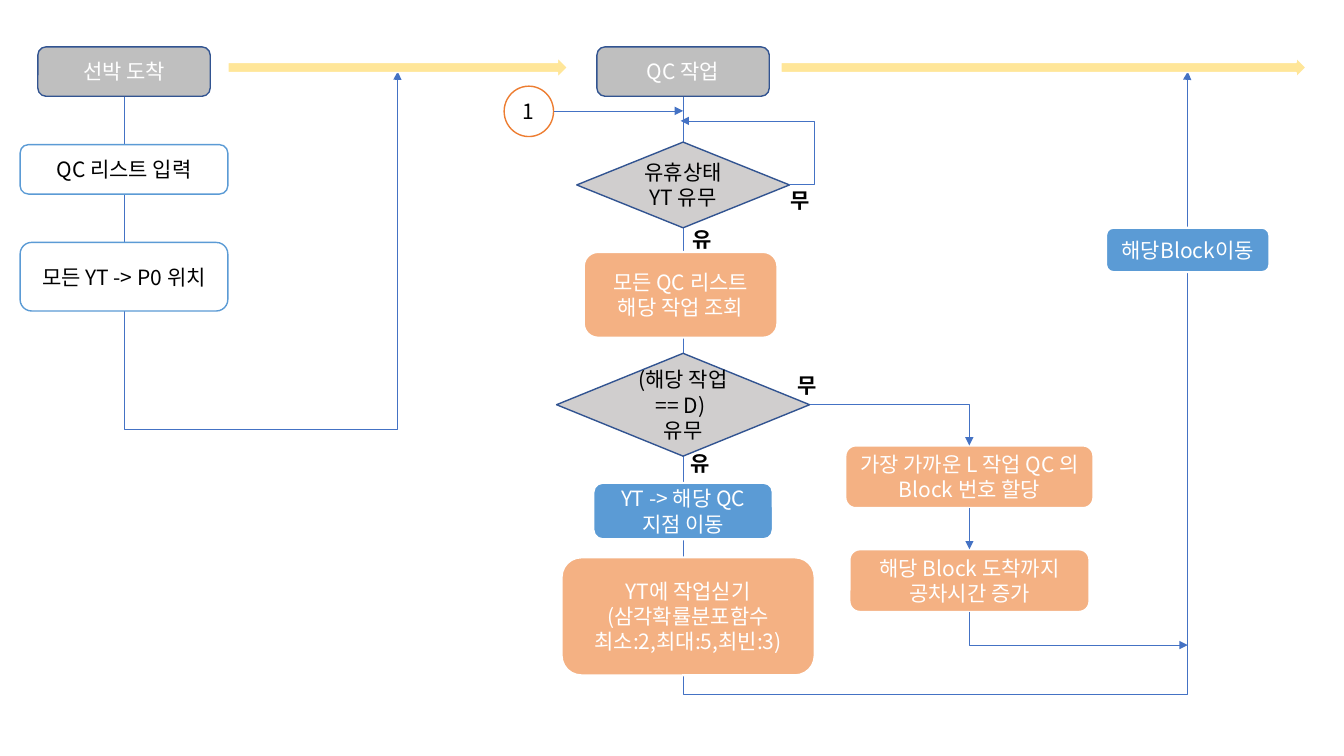
from dataclasses import dataclass
from pptx import Presentation, util as u
from pptx.dml.color import RGBColor
from pptx.enum import shapes as sh, text as tx
from pptx.oxml import parse_xml
from pptx.oxml.ns import nsdecls, qn

COLS, ROWS = 133.3, 75
KIND = sh.MSO_SHAPE


@dataclass(frozen=True)
class Theme:
    """Colours, type and line sizes; each style is fill, line, width, text."""
    font: str = "Noto Sans CJK KR"
    size: float = 15
    ink: str = "000000"
    wire: str = "4472C4"
    thin: float = 0.5
    head: tuple = ("BFBFBF", "325491", 1, "FFFFFF")
    test: tuple = ("D0CECE", "325491", 1, "000000")
    setup: tuple = ("FFFFFF", "5B9BD5", 1, "000000")
    task: tuple = ("F4B183", "FFFFFF", 1.5, "FFFFFF")
    move: tuple = ("5B9BD5", "FFFFFF", 1.5, "FFFFFF")
    flow: tuple = ("FFE699", "FFFFFF", 1, "FFFFFF")
    mark: tuple = ("FFFFFF", "ED7D31", 1, "000000")


T = Theme()


@dataclass
class Box:
    """A region of the slide, with its corner and cell size."""
    slide: object
    left: float
    top: float
    col: float
    row: float

    def x(self, n):
        """Return the slide position of a column."""
        return round((self.left + n) * self.col)

    def y(self, n):
        """Return the slide position of a row."""
        return round((self.top + n) * self.row)

    def area(self, x, y, w, h):
        """Return left, top, width and height of a part."""
        return self.x(x), self.y(y), round(w * self.col), round(h * self.row)


def rgb(code):
    """Turn a hex code into a colour."""
    return RGBColor.from_string(code)


def write(frame, words, color, bold=None, align=None):
    """Fill a text frame, one paragraph a line."""
    frame.text = words
    for par in frame.paragraphs:
        par.alignment = align
        font = par.font
        font.name, font.size, font.bold = T.font, u.Pt(T.size), bold
        font.color.rgb = rgb(color)
        latin = par._p.pPr.find(qn("a:defRPr")).find(qn("a:latin"))
        latin.addnext(parse_xml(f'<a:ea {nsdecls("a")} typeface="{T.font}"/>'))


def node(box, mid, top, wide, high, style, words="", kind=KIND.ROUNDED_RECTANGLE):
    """Draw a shape centred on a column."""
    fill, line, width, color = style
    part = box.slide.shapes.add_shape(kind, *box.area(mid - wide / 2, top, wide, high))
    part.shadow.inherit = False
    part.fill.solid()
    part.fill.fore_color.rgb = rgb(fill)
    part.line.color.rgb = rgb(line)
    part.line.width = u.Pt(width)
    if words:
        part.text_frame.vertical_anchor = tx.MSO_ANCHOR.MIDDLE
        write(part.text_frame, words, color, align=tx.PP_ALIGN.CENTER)


def label(box, x, y, words):
    """Write a bold branch label."""
    frame = box.slide.shapes.add_textbox(*box.area(x, y, 4.1, 3.5)).text_frame
    frame.word_wrap = False
    frame.auto_size = tx.MSO_AUTO_SIZE.SHAPE_TO_FIT_TEXT
    write(frame, words, T.ink, bold=True)


def arrow(box, start, end):
    """Draw a straight arrow and return it."""
    (ax, ay), (bx, by) = start, end
    wire = box.slide.shapes.add_connector(
        sh.MSO_CONNECTOR.STRAIGHT, box.x(ax), box.y(ay), box.x(bx), box.y(by))
    wire.line.color.rgb = rgb(T.wire)
    wire.line.width = u.Pt(T.thin)
    wire._element.spPr.append(parse_xml(f'<a:effectLst {nsdecls("a")}/>'))
    wire.line._get_or_add_ln().append(
        parse_xml(f'<a:tailEnd {nsdecls("a")} type="triangle"/>'))
    return wire


def bend(box, start, end, legs, turn=0, flip="", bends=()):
    """Draw a bent arrow with its legs, quarter turns, flips and bend shares."""
    wire = arrow(box, start, end)
    if turn % 2:
        wide, high = wire.width, wire.height
        wire.left += (wide - high) // 2
        wire.top += (high - wide) // 2
        wire.width, wire.height = high, wide
    props = wire._element.spPr
    frame, geom = props.find(qn("a:xfrm")), props.find(qn("a:prstGeom"))
    frame.set("rot", str(turn * 5400000))
    for axis in "hv":
        frame.set("flip" + axis.upper(), str(int(axis in flip)))
    geom.set("prst", f"bentConnector{legs}")
    for n, share in enumerate(bends, 1):
        geom.find(qn("a:avLst")).append(parse_xml(
            f'<a:gd {nsdecls("a")} name="adj{n}" fmla="val {round(share * 100000)}"/>'))


def links(box):
    """Draw the loops back to the header band, and its wide arrows."""
    top, low = 2.5, 5
    for start, end, base in ((67.75, 117.8, 64.3), (12.3, 39.45, 38.05)):
        bend(box, (start, low), (end, top), 4, 1, "hv",
             ((low - base) / (low - top), 0.999))
    for mid, wide in ((39.45, 33.7), (103.5, 52.1)):
        node(box, mid, 1.1, wide, 2, T.flow, kind=KIND.RIGHT_ARROW)


def arrive(box):
    """Draw the ship arrival column."""
    mid = 10.3
    node(box, mid, 0.05, 17.1, 4.9, T.head, "선박 도착")
    node(box, mid, 9.75, 20.6, 4.9, T.setup, "QC 리스트 입력")
    node(box, mid, 19.45, 20.6, 6.8, T.setup, "모든 YT -> P0 위치")


def work(box):
    """Draw the crane work column with its tests."""
    mid = 17.75
    node(box, mid, 0.05, 17.1, 4.9, T.head, "QC 작업")
    node(box, mid, 9.5, 21.1, 8.5, T.test, "유휴상태 YT 유무", KIND.DIAMOND)
    node(box, mid, 30.45, 25.1, 10.2, T.test, "(해당 작업 == D) \n유무", KIND.DIAMOND)
    node(box, mid, 43.3, 17.8, 5.6, T.move, "YT -> 해당 QC지점 이동")
    node(box, mid + 0.5, 50.7, 25.1, 11.7, T.task,
         "YT에 작업싣기\n(삼각확률분포함수\n최소:2,최대:5,최빈:3)")
    node(box, mid - 0.25, 20.4, 19.2, 8.5, T.task, "모든 QC 리스트 해당 작업 조회")
    bend(box, (28.3, 13.7), (17.5, 7.4), 3, 0, "hv", (-0.23,))
    node(box, 2.45, 3.95, 4.9, 5, T.mark, "1", KIND.OVAL)
    arrow(box, (4.9, 6.4), (mid, 6.4))
    for x, y, words in ((17.7, 17.4, "유"), (27.4, 13.5, "무"),
                        (17.5, 39.6, "유"), (28.1, 31.9, "무")):
        label(box, x, y, words)


def shift(box):
    """Draw the block assignment and transfer branch."""
    mid, end = 14.15, 35.8
    node(box, mid, 39.6, 24.6, 6.2, T.task, "가장 가까운 L 작업 QC 의 Block 번호 할당")
    node(box, mid, 49.9, 23.8, 6.2, T.task, "해당 Block 도착까지\n공차시간 증가")
    node(box, end, 18, 16.2, 4.4, T.move, "해당Block이동")
    bend(box, (-1.7, 35.5), (mid, 39.6), 2)
    arrow(box, (mid, 45.8), (mid, 49.9))
    bend(box, (mid, 56.1), (end, 59.4), 2, 3, "h")


def main():
    """Build the slide and save it."""
    deck = Presentation()
    deck.slide_width, deck.slide_height = u.Inches(13.33), u.Inches(7.5)
    slide = deck.slides.add_slide(deck.slide_layouts[6])
    col, row = deck.slide_width / COLS, deck.slide_height / ROWS
    for draw, left in ((links, 0), (arrive, 2), (work, 50), (shift, 82)):
        draw(Box(slide, left, 4.6, col, row))
    deck.save("out.pptx")


main()
